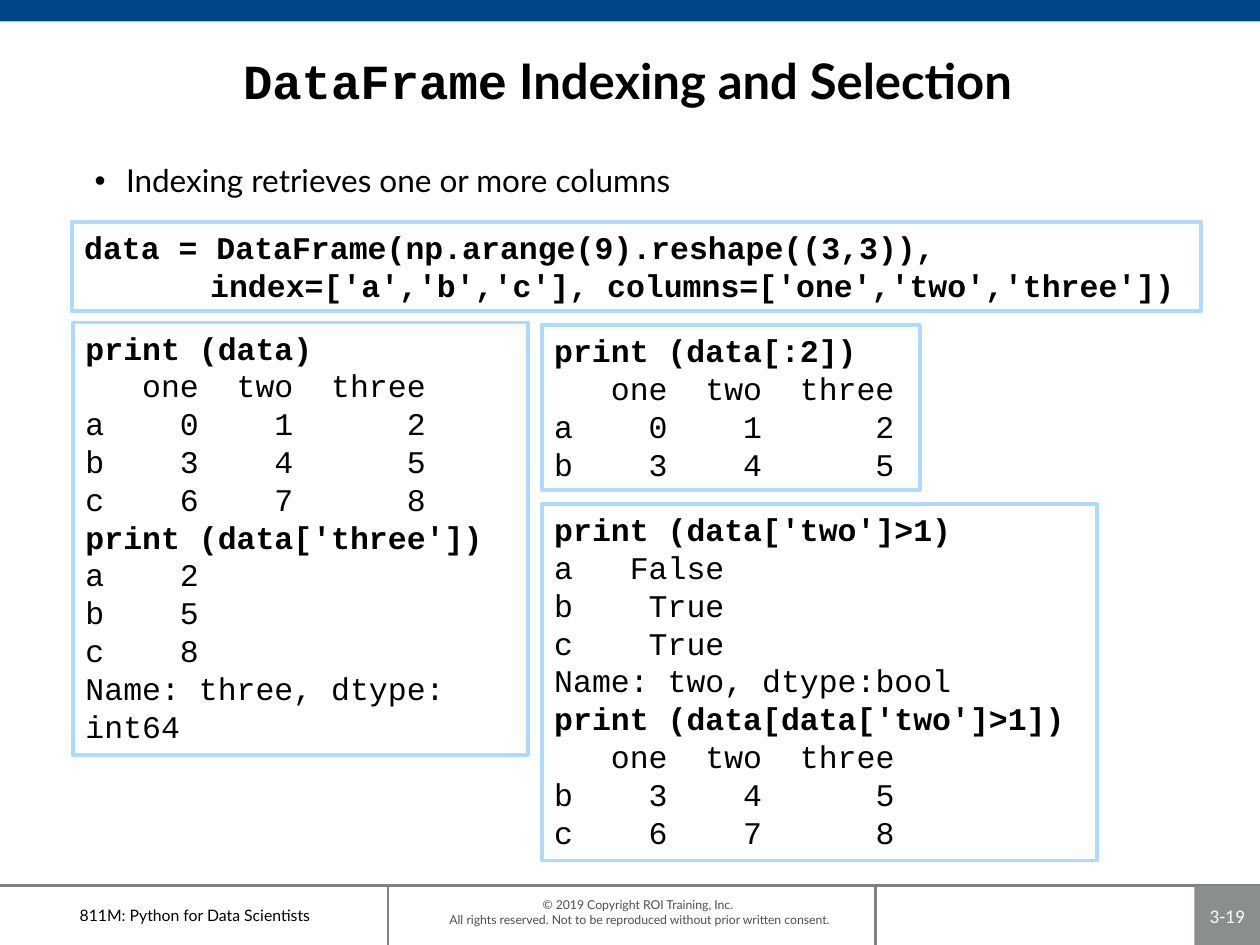
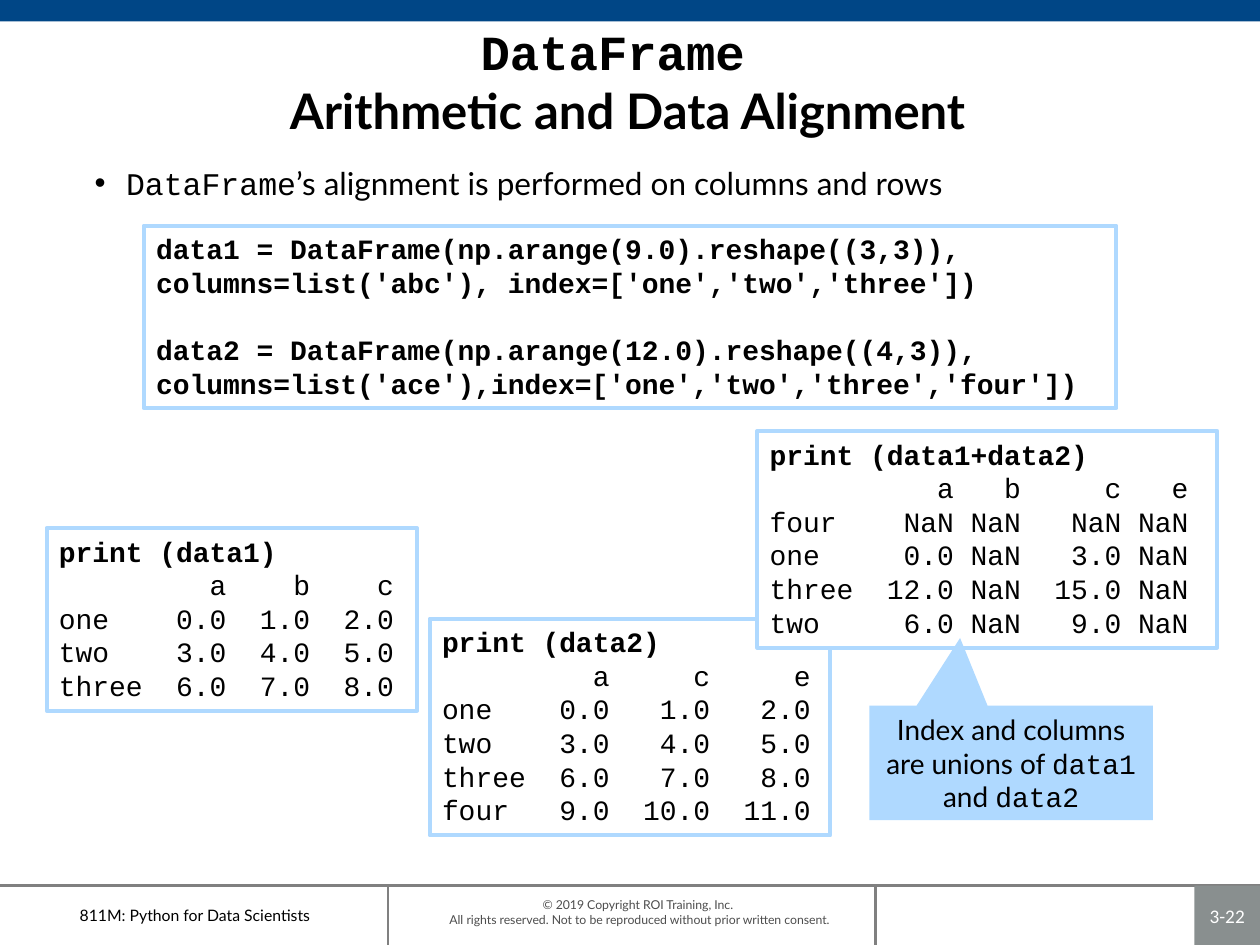
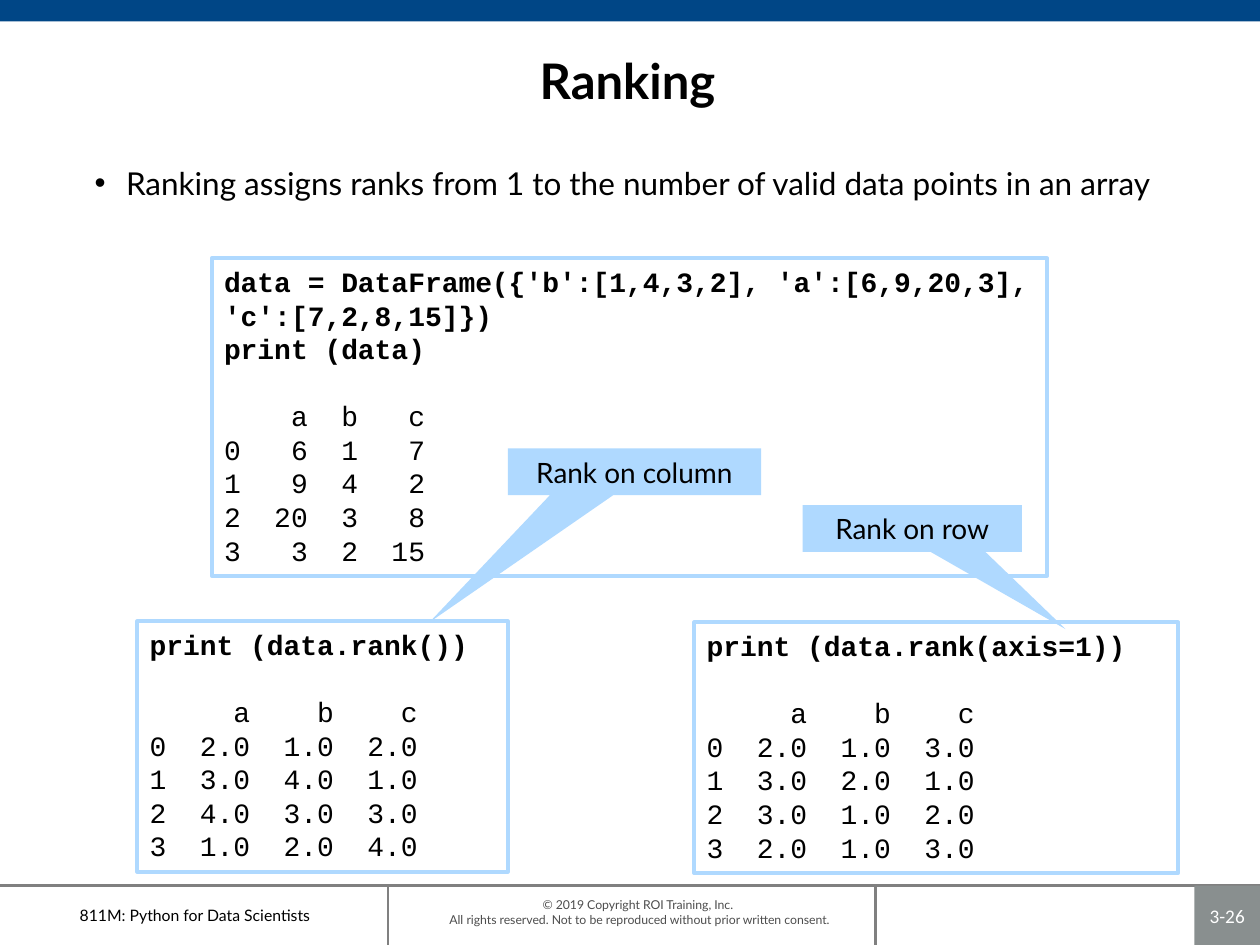
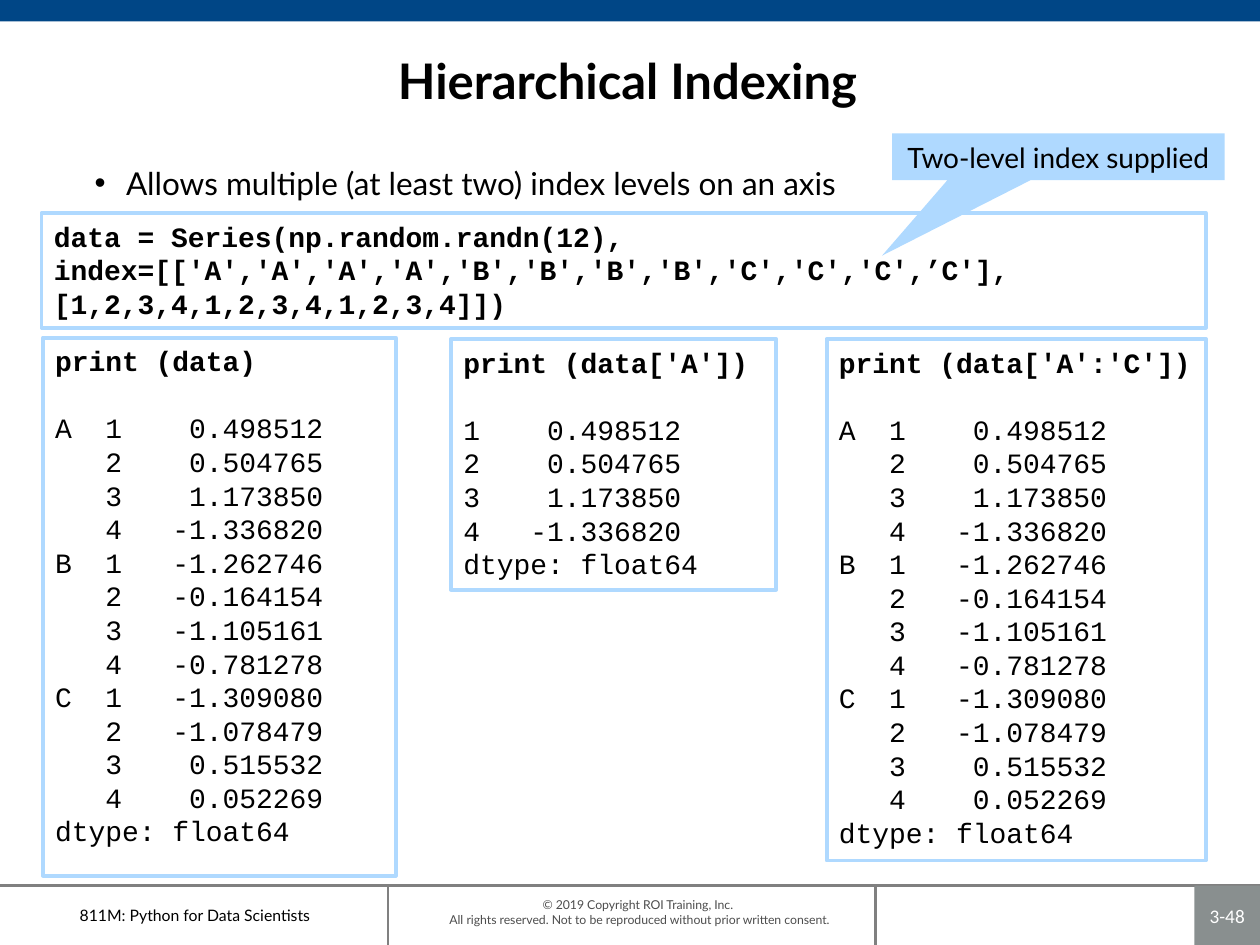
from dataclasses import dataclass

from lxml import etree
from pptx import Presentation
from pptx import util as u
from pptx.dml import color as dml
from pptx.enum import shapes as sh
from pptx.enum import text as tx
from pptx.oxml import ns


@dataclass(frozen=True)
class Theme:
    black: str = "000000"
    white: str = "FFFFFF"
    band: str = "004686"
    rule: str = "808080"
    badge: str = "898F8F"
    legal: str = "4D4D4D"
    light: str = "AFD9FF"
    sans: str = "Lato"
    mono: str = "Courier New"
    digit: str = "Calibri"
    title: int = 28
    body: int = 18
    code: int = 16
    page: int = 11
    course: int = 9
    small: int = 7
    lead: float = 1.2


T = Theme()
COLS, ROWS = 100, 75
WIDE, HIGH = u.Inches(10), u.Inches(7.5)
FOOT = 70.3
PAD = (0.1, 0.05, 0.1, 0.05)
MID = tx.MSO_ANCHOR.MIDDLE
MONO = {"font": T.mono}

SERIES = """A  1    0.498512
   2    0.504765
   3    1.173850
   4   -1.336820
B  1   -1.262746
   2   -0.164154
   3   -1.105161
   4   -0.781278
C  1   -1.309080
   2   -1.078479
   3    0.515532
   4    0.052269
dtype: float64"""


def grid(x, y, w, h):
    return [int(WIDE * x / COLS), int(HIGH * y / ROWS),
            int(WIDE * w / COLS), int(HIGH * h / ROWS)]


def rgb(code):
    return dml.RGBColor.from_string(code)


def style(run, font=T.sans, size=T.code, color=T.black, bold=False):
    run.font.name = font
    run.font.size = u.Pt(size)
    run.font.bold = bold
    run.font.color.rgb = rgb(color)


def write(box, parts, align=tx.PP_ALIGN.CENTER, anchor=MID, pad=PAD, **fmt):
    frame = box.text_frame
    frame.word_wrap = True
    frame.auto_size = tx.MSO_AUTO_SIZE.NONE
    frame.vertical_anchor = anchor
    (frame.margin_left, frame.margin_top,
     frame.margin_right, frame.margin_bottom) = map(u.Inches, pad)
    para = frame.paragraphs[0]
    para.alignment = align
    para.space_before = u.Pt(0)
    for part in [parts] if isinstance(parts, str) else parts:
        words, own = (part, {}) if isinstance(part, str) else part
        for i, line in enumerate(words.split("\n")):
            if i:
                para.add_line_break()
            if line:
                run = para.add_run()
                run.text = line
                style(run, **{**fmt, **own})
    return para


def block(slide, place, fill=None, line=None, kind=sh.MSO_SHAPE.RECTANGLE):
    box = slide.shapes.add_shape(kind, *grid(*place))
    box.shadow.inherit = False
    if fill:
        box.fill.solid()
        box.fill.fore_color.rgb = rgb(fill)
    else:
        box.fill.background()
    if line:
        box.line.color.rgb = rgb(line)
        box.line.width = u.Pt(2.25)
    else:
        box.line.fill.background()
    return box


def label(slide, place, words, **fmt):
    write(slide.shapes.add_textbox(*grid(*place)), words, **fmt)


def rule(slide, x, y, w, h):
    left, top, wide, high = grid(x, y, w, h)
    line = slide.shapes.add_connector(
        sh.MSO_CONNECTOR.STRAIGHT, left, top, left + wide, top + high)
    line.line.color.rgb = rgb(T.rule)
    line.line.width = u.Pt(1.5)
    etree.SubElement(line.element.spPr, ns.qn("a:effectLst"))


def code(slide, place, lines, size=T.code, fill=None):
    frame = block(slide, place, fill, T.light).text_frame
    frame.word_wrap = True
    frame.vertical_anchor = tx.MSO_ANCHOR.TOP
    gap, para = 0, None
    for line in lines.split("\n"):
        if not line:
            gap = size * T.lead
            continue
        para = frame.add_paragraph() if para else frame.paragraphs[0]
        para.alignment = tx.PP_ALIGN.LEFT
        para.line_spacing = u.Pt(size * T.lead)
        para.space_before = u.Pt(gap)
        run = para.add_run()
        run.text = line
        style(run, T.mono, size, bold=")" in line)
        gap = 0


def call(slide, place, tip, words):
    box = block(slide, place, T.light,
                kind=sh.MSO_SHAPE.RECTANGULAR_CALLOUT)
    box.adjustments[0], box.adjustments[1] = tip
    write(box, words)


def move(item, *place):
    item.left, item.top, item.width, item.height = grid(*place)


def share(slide, plan):
    rule(slide, 69.5, FOOT, 0, ROWS - FOOT)
    rule(slide, 0, FOOT, COLS, 0)
    rule(slide, 30.8, FOOT, 0, ROWS - FOOT)
    label(slide, (24.5, 71.2, 52.5, 2.4),
          "© 2019 Copyright ROI Training, Inc. \n"
          "All rights reserved. Not to be reproduced without "
          "prior written consent.",
          anchor=tx.MSO_ANCHOR.TOP, pad=(0.1, 0, 0.1, 0),
          size=T.small, color=T.legal)
    label(slide, (0, FOOT, 30.9, ROWS - FOOT),
          "811M: Python for Data Scientists", size=T.course)
    block(slide, (0, 0, COLS, 1.7), T.band)
    for i, item in enumerate(list(slide.shapes)):
        if not item.is_placeholder:
            item.element.xpath(".//p:cNvPr")[0].set("id", str(20 + i))
            plan.shapes.element.append(item.element)


def start(slide, page, title, point, top=12.5, high=55.4):
    write(block(slide, (94.8, FOOT, 5.2, ROWS - FOOT), T.badge), page,
          pad=(0.04,) * 4, font=T.digit, size=T.page, color=T.white)
    head, body = slide.shapes.title, slide.placeholders[1]
    move(head, 11.5, 2.9, 76.6, 6.9)
    write(head, title, size=T.title, bold=True)
    move(body, 6.5, top, 87.7, high)
    para = write(body, point, align=tx.PP_ALIGN.LEFT,
                 anchor=tx.MSO_ANCHOR.TOP, size=T.body)
    prop = para._p.get_or_add_pPr()
    prop.set("marL", str(u.Inches(0.25)))
    prop.set("indent", str(-u.Inches(0.25)))
    tint = etree.SubElement(prop, ns.qn("a:buClr"))
    etree.SubElement(tint, ns.qn("a:srgbClr"), val=T.black)
    etree.SubElement(prop, ns.qn("a:buChar"), char="•")


def select(slide):
    start(slide, "3-19", [("DataFrame", MONO), " Indexing and Selection"],
          "Indexing retrieves one or more columns", 12.3, 54)
    code(slide, (5.7, 17.6, 89.6, 7.1),
         """data = DataFrame(np.arange(9).reshape((3,3)),
    \tindex=['a','b','c'], columns=['one','two','three'])""", T.body)
    code(slide, (5.8, 25.6, 36.1, 34.3), """print (data)
   one  two  three
a    0    1      2
b    3    4      5
c    6    7      8
print (data['three'])
a    2
b    5
c    8
Name: three, dtype: int64""", T.body)
    code(slide, (43, 25.8, 30, 13.1), """print (data[:2])
   one  two  three
a    0    1      2
b    3    4      5""", T.body)
    code(slide, (43, 40, 44.1, 28.3), """print (data['two']>1)
a   False
b    True
c    True
Name: two, dtype:bool
print (data[data['two']>1])
   one  two  three
b    3    4      5
c    6    7      8""", T.body)


def align(slide):
    start(slide, "3-22",
          [("DataFrame \n", MONO), "Arithmetic and Data Alignment"],
          [("DataFrame", MONO),
           "’s alignment is performed on columns and rows"])
    code(slide, (11.4, 17.9, 77.2, 14.5),
         "data1 = DataFrame(np.arange(9.0).reshape((3,3)), "
         "columns=list('abc'), index=['one','two','three'])\n\n"
         "data2 = DataFrame(np.arange(12.0).reshape((4,3)), "
         "columns=list('ace'),index=['one','two','three','four'])")
    code(slide, (3.7, 41.9, 29.4, 14.5), """print (data1)
         a    b    c
one    0.0  1.0  2.0
two    3.0  4.0  5.0
three  6.0  7.0  8.0""")
    code(slide, (34.1, 49.1, 31.8, 17.2), """print (data2)
         a     c     e
one    0.0   1.0   2.0
two    3.0   4.0   5.0
three  6.0   7.0   8.0
four   9.0  10.0  11.0""")
    code(slide, (60.1, 34.2, 36.5, 17.2), """print (data1+data2)
          a   b     c   e
four    NaN NaN   NaN NaN
one     0.0 NaN   3.0 NaN
three  12.0 NaN  15.0 NaN
two     6.0 NaN   9.0 NaN""", fill=T.white)
    call(slide, (69, 56, 22.5, 9.1), (-0.18, -1.09),
         ["Index and columns are unions of ", ("data1", MONO),
          " and ", ("data2", MONO)])


def rank(slide):
    start(slide, "3-26", "Ranking",
          "Ranking assigns ranks from 1 to the number of valid data "
          "points in an array")
    code(slide, (16.8, 20.5, 66.3, 25.2),
         """data = DataFrame({'b':[1,4,3,2], 'a':[6,9,20,3], 'c':[7,2,8,15]})
print (data)

    a  b   c
0   6  1   7
1   9  4   2
2  20  3   8
3   3  2  15""")
    code(slide, (10.9, 49.3, 29.4, 19.9), """print (data.rank())

     a    b    c
0  2.0  1.0  2.0
1  3.0  4.0  1.0
2  4.0  3.0  3.0
3  1.0  2.0  4.0""")
    code(slide, (55.1, 49.4, 38.4, 19.9), """print (data.rank(axis=1))

     a    b    c
0  2.0  1.0  3.0
1  3.0  2.0  1.0
2  3.0  1.0  2.0
3  2.0  1.0  3.0""")
    call(slide, (63.7, 40.1, 17.4, 3.7), (0.7, 2.16), "Rank on row")
    call(slide, (40.3, 35.6, 20.1, 3.7), (-0.81, 3.23), "Rank on column")


def levels(slide):
    start(slide, "3-48", "Hierarchical Indexing",
          "Allows multiple (at least two) index levels on an axis")
    code(slide, (3.3, 16.9, 92.4, 9.1),
         "data = Series(np.random.randn(12), "
         "index=[['A','A','A','A','B','B','B','B','C','C','C',’C'], "
         "[1,2,3,4,1,2,3,4,1,2,3,4]])")
    code(slide, (3.4, 26.8, 28, 42.7), "print (data)\n\n" + SERIES)
    code(slide, (35.8, 26.9, 25.8, 19.9), """print (data['A'])

1    0.498512
2    0.504765
3    1.173850
4   -1.336820
dtype: float64""")
    code(slide, (65.6, 26.9, 30.1, 41.4),
         "print (data['A':'C'])\n\n" + SERIES)
    call(slide, (70.8, 10.6, 26.4, 3.7), (-0.53, 2.12),
         "Two-level index supplied")


def main():
    deck = Presentation()
    deck.slide_width, deck.slide_height = WIDE, HIGH
    plan = deck.slide_layouts[1]
    fills = (select, align, rank, levels)
    pages = [deck.slides.add_slide(plan) for _ in fills]
    share(pages[0], plan)
    for fill, slide in zip(fills, pages):
        fill(slide)
    deck.save("out.pptx")


if __name__ == "__main__":
    main()
